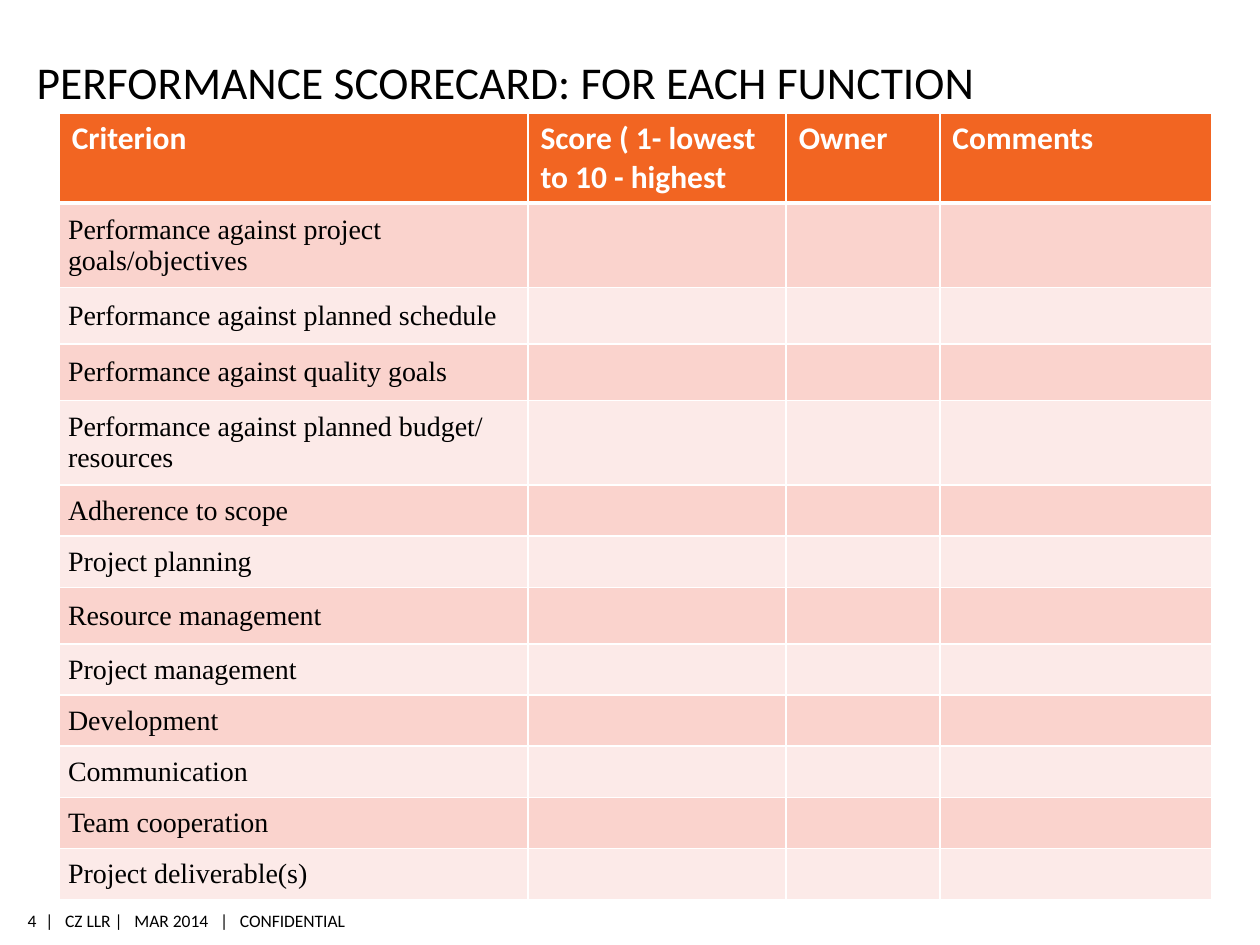
import pptx
import pptx.util
import pptx.dml.color
import pptx.enum.text
import pptx.oxml
import pptx.oxml.ns
from lxml import etree

Inches, Pt = pptx.util.Inches, pptx.util.Pt
RGBColor = pptx.dml.color.RGBColor
MSO_ANCHOR, PP_ALIGN = pptx.enum.text.MSO_ANCHOR, pptx.enum.text.PP_ALIGN

# Content
TITLE = "PERFORMANCE SCORECARD: FOR EACH FUNCTION"
COLUMNS = [("Criterion", 3.72), ("Score ( 1- lowest to 10 - highest", 2.05),
           ("Owner", 1.22), ("Comments", 2.16)]
HEADER_HEIGHT = 0.71
TWO_LINES, TALL, SHORT = 0.67, 0.45, 0.4
CRITERIA = [
    ("Performance against project goals/objectives", TWO_LINES),
    ("Performance against planned schedule", TALL),
    ("Performance against quality goals", TALL),
    ("Performance against planned budget/ resources", TWO_LINES),
    ("Adherence to scope", SHORT),
    ("Project planning", SHORT),
    ("Resource management", TALL),
    ("Project management", SHORT),
    ("Development", SHORT),
    ("Communication", SHORT),
    ("Team cooperation", SHORT),
    ("Project deliverable(s)", SHORT),
]
FOOTER = [  # text, left, width, alignment
    ("|   CZ LLR |   MAR 2014   |   CONFIDENTIAL", 0.36, 2.49, PP_ALIGN.LEFT),
    ("4", 0.13, 0.16, PP_ALIGN.RIGHT),
]

BLACK = RGBColor(0x00, 0x00, 0x00)
WHITE = RGBColor(0xFF, 0xFF, 0xFF)
ORANGE = RGBColor(0xF2, 0x65, 0x22)
BANDS = [RGBColor(0xFA, 0xD3, 0xCD), RGBColor(0xFC, 0xEA, 0xE8)]


def format_text(tf, font, size, color, bold=False, align=PP_ALIGN.LEFT):
    for p in tf.paragraphs:
        p.alignment = align
        for r in p.runs:
            r.font.name, r.font.size, r.font.bold = font, Pt(size), bold
            r.font.color.rgb = color


def set_margins(obj, left, top, right, bottom):
    obj.margin_left, obj.margin_top = Inches(left), Inches(top)
    obj.margin_right, obj.margin_bottom = Inches(right), Inches(bottom)


def style_cell(cell, fill, top=1, bottom=1):
    """Add white borders, then the fill, which must follow them in the XML."""
    tcPr = cell._tc.get_or_add_tcPr()
    for side, width in (("L", 1), ("R", 1), ("T", top), ("B", bottom)):
        ln = etree.SubElement(tcPr, pptx.oxml.ns.qn(f"a:ln{side}"), w=str(Pt(width)))
        solid = etree.SubElement(ln, pptx.oxml.ns.qn("a:solidFill"))
        etree.SubElement(solid, pptx.oxml.ns.qn("a:srgbClr"), val=str(WHITE))
    cell.fill.solid()
    cell.fill.fore_color.rgb = fill


prs = pptx.Presentation()
prs.slide_width, prs.slide_height = Inches(10), Inches(7.5)
s = prs.slides.add_slide(prs.slide_layouts[5])

# Title
title = s.shapes.title
title.left, title.top = Inches(0.29), Inches(0.34)
title.width, title.height = Inches(8.4), Inches(0.52)
tf = title.text_frame
tf.text = TITLE
tf.vertical_anchor = MSO_ANCHOR.BOTTOM
tf.auto_size = pptx.enum.text.MSO_AUTO_SIZE.NONE
set_margins(tf, 0, 0.05, 0, 0)
format_text(tf, "Calibri", 26, BLACK)

# Scorecard table
heights = [HEADER_HEIGHT] + [height for _, height in CRITERIA]
table = s.shapes.add_table(
    len(heights), len(COLUMNS), Inches(0.47), Inches(0.9),
    Inches(sum(width for _, width in COLUMNS)), Inches(sum(heights))).table
for row, height in zip(table.rows, heights):
    row.height = Inches(height)

for c, (heading, width) in enumerate(COLUMNS):
    table.columns[c].width = Inches(width)
    cell = table.cell(0, c)
    cell.text = heading
    format_text(cell.text_frame, "Calibri", 18, WHITE, bold=True)
    style_cell(cell, ORANGE, bottom=3)

for i, (criterion, _) in enumerate(CRITERIA):
    for c in range(len(COLUMNS)):
        style_cell(table.cell(i + 1, c), BANDS[i % 2], top=3 if i == 0 else 1)
    cell = table.cell(i + 1, 0)
    cell.text = criterion
    cell.vertical_anchor = MSO_ANCHOR.MIDDLE
    set_margins(cell, 0.07, 0, 0.07, 0)
    format_text(cell.text_frame, "Times New Roman", 16, BLACK)

# Footer
for text, left, width, align in FOOTER:
    tf = s.shapes.add_textbox(Inches(left), Inches(7.18), Inches(width), Inches(0.26)).text_frame
    tf.text = text
    tf.word_wrap = False
    tf.vertical_anchor = MSO_ANCHOR.MIDDLE
    set_margins(tf, 0, 0.04, 0, 0.04)
    format_text(tf, "Calibri", 10, BLACK, align=align)

prs.save("out.pptx")
